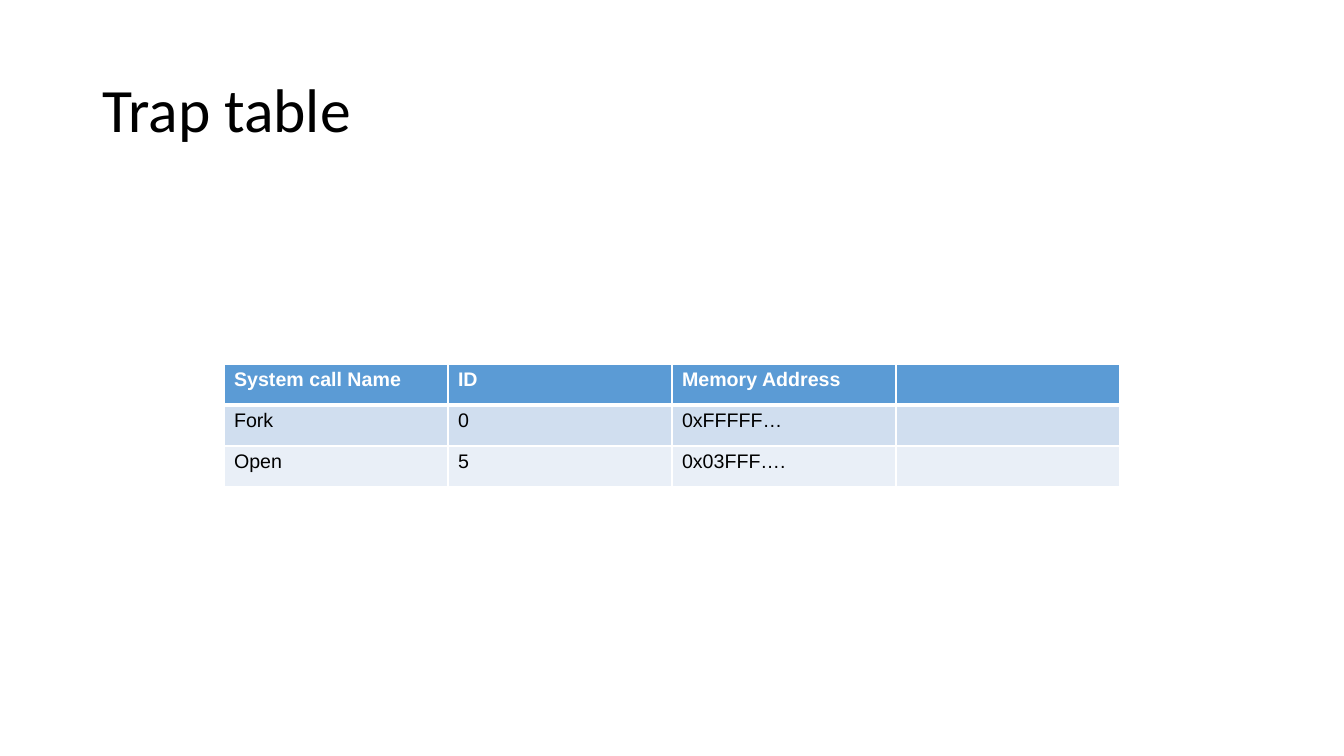
import pptx
import pptx.util
import pptx.dml.color
import pptx.enum.text
import pptx.oxml
import pptx.oxml.ns
import lxml.etree

PX = 914400 / 100.8
WHITE = pptx.dml.color.RGBColor(0xFF, 0xFF, 0xFF)
BLACK = pptx.dml.color.RGBColor(0x00, 0x00, 0x00)
HEADER_BLUE = pptx.dml.color.RGBColor(0x5B, 0x9B, 0xD5)
BANDS = [pptx.dml.color.RGBColor(0xD0, 0xDE, 0xEF),
         pptx.dml.color.RGBColor(0xE9, 0xEF, 0xF7)]

TRAP_ROWS = [
    ["System call Name", "ID", "Memory Address", ""],
    ["Fork", "0", "0xFFFFF…", ""],
    ["Open", "5", "0x03FFF….", ""],
]


def px(length):
    return pptx.util.Emu(round(length * PX))


def write_text(frame, text, *, size, font, color, bold=False, line_spacing=None):
    para = frame.paragraphs[0]
    para.alignment = pptx.enum.text.PP_ALIGN.LEFT
    if line_spacing:
        para.line_spacing = line_spacing
    if text:
        span = para.add_run()
        span.text = text
        span.font.size = pptx.util.Pt(size)
        span.font.name = font
        span.font.bold = bold
        span.font.color.rgb = color


def set_borders(cell, **widths):
    """Set the white cell borders, given in points for each side."""
    properties = cell._tc.get_or_add_tcPr()
    for position, side in enumerate(("left", "right", "top", "bottom")):
        line = lxml.etree.Element(pptx.oxml.ns.qn("a:ln" + side[0].upper()),
                                  w=str(pptx.util.Pt(widths[side])))
        fill = lxml.etree.SubElement(line, pptx.oxml.ns.qn("a:solidFill"))
        lxml.etree.SubElement(fill, pptx.oxml.ns.qn("a:srgbClr"), val=str(WHITE))
        properties.insert(position, line)


def place_title(page, text, left, top, width, height):
    title = page.shapes.title
    title.left, title.top, title.width, title.height = map(px, (left, top, width, height))
    frame = title.text_frame
    frame.word_wrap = True
    frame.auto_size = pptx.enum.text.MSO_AUTO_SIZE.NONE
    frame.vertical_anchor = pptx.enum.text.MSO_ANCHOR.MIDDLE
    write_text(frame, text, size=44, font="Calibri", color=BLACK, line_spacing=0.9)


def place_table(page, rows, left, top, width, height):
    table = page.shapes.add_table(len(rows), len(rows[0]),
                                  *map(px, (left, top, width, height))).table
    for column in table.columns:
        column.width = px(width / len(rows[0]))
    for row_index, texts in enumerate(rows):
        table.rows[row_index].height = px(height / len(rows))
        header = row_index == 0
        for column_index, text in enumerate(texts):
            cell = table.cell(row_index, column_index)
            cell.fill.solid()
            cell.fill.fore_color.rgb = HEADER_BLUE if header else BANDS[(row_index - 1) % 2]
            # A thicker rule separates the header from the body
            set_borders(cell, left=1, right=1, top=3 if row_index == 1 else 1,
                        bottom=3 if header else 1)
            write_text(cell.text_frame, text, size=14, font="Arial",
                       color=WHITE if header else BLACK, bold=header)


def main():
    deck = pptx.Presentation()
    deck.slide_width, deck.slide_height = px(1344), px(756)
    page = deck.slides.add_slide(deck.slide_layouts[5])
    page.background.fill.solid()
    page.background.fill.fore_color.rgb = WHITE
    place_title(page, "Trap table", 92, 40, 1159, 146)
    place_table(page, TRAP_ROWS, 224, 364, 896, 123)
    deck.save("out.pptx")


if __name__ == "__main__":
    main()
